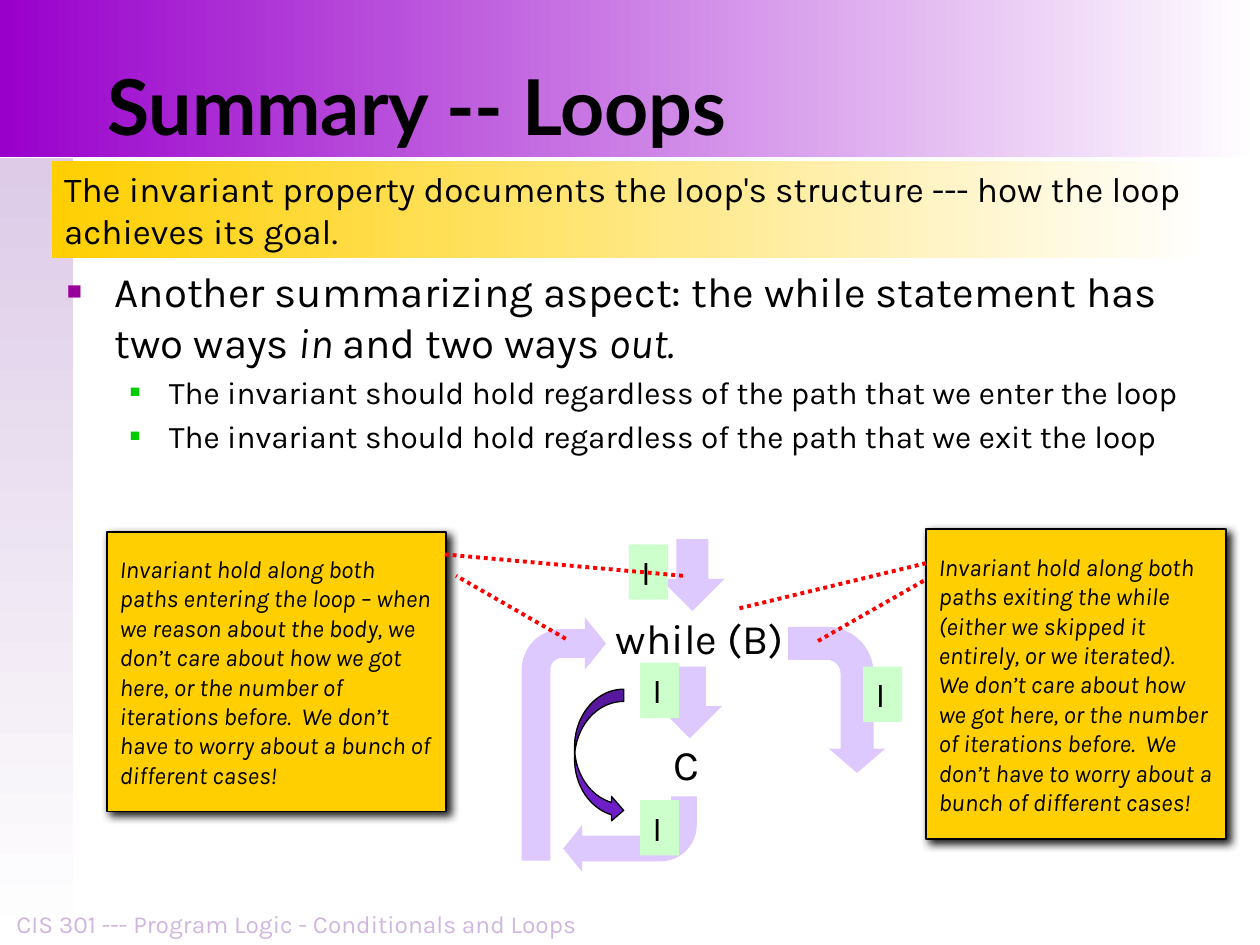
from lxml import etree
from pptx import Presentation
from pptx.dml.color import RGBColor
from pptx.enum.dml import MSO_LINE
from pptx.enum.shapes import MSO_CONNECTOR, MSO_SHAPE
from pptx.enum.text import MSO_ANCHOR, MSO_AUTO_SIZE, PP_ALIGN
from pptx.oxml.ns import qn
from pptx.util import Emu, Pt

RECT, BENT, DOWN = MSO_SHAPE.RECTANGLE, MSO_SHAPE.BENT_ARROW, MSO_SHAPE.DOWN_ARROW
CURVED = MSO_SHAPE.CURVED_RIGHT_ARROW
STRAIGHT, DOTTED = MSO_CONNECTOR.STRAIGHT, MSO_LINE.ROUND_DOT
TOP, MIDDLE, BOTTOM = MSO_ANCHOR.TOP, MSO_ANCHOR.MIDDLE, MSO_ANCHOR.BOTTOM
LEFT, CENTER = PP_ALIGN.LEFT, PP_ALIGN.CENTER
FIXED = MSO_AUTO_SIZE.NONE

EMU_PER_PX = 9144  # 100 px to the inch
BLACK, WHITE, RED = "000000", "FFFFFF", "FF0000"
GOLD, LILAC, MINT = "FFCF01", "DEC9FF", "CCFFCC"
BULLETS = [(38, -38, "990099", 60), (81, -31, "00CC00", 55)]  # one per level


def px(n):
    return Emu(n * EMU_PER_PX)


def rgb(color):
    return RGBColor.from_string(color)


def add(parent, tag, **attrs):
    return etree.SubElement(parent, qn(tag), {k: str(v) for k, v in attrs.items()})


class Deck:
    """Holds the text style and the slide being built."""

    font = "Karla"

    def __init__(self, prs):
        self.s = prs.slides.add_slide(prs.slide_layouts[1])

    def style(self, p, size, color=BLACK, name=None, bold=False, italic=None):
        f = p.font
        f.size, f.name, f.bold, f.italic = Pt(size), name or self.font, bold, italic
        f.color.rgb = rgb(color)

    def set_text(self, sp, text, size, align=LEFT, anchor=TOP, wrap=True, **font):
        tf = sp.text_frame
        tf.auto_size, tf.word_wrap, tf.vertical_anchor = FIXED, wrap, anchor
        p = tf.paragraphs[0]
        p.text, p.alignment = text, align
        self.style(p, size, **font)

    def place(self, index, box):
        """Move a placeholder to box and in front of what is drawn so far."""
        sp = self.s.placeholders[index]
        sp.left, sp.top, sp.width, sp.height = map(px, box)
        self.s.shapes._spTree.append(sp._element)
        return sp

    def title(self, box, text):
        self.set_text(self.place(0, box), text, 44, anchor=BOTTOM, name="Lato", bold=True)

    def body(self, box, items):
        """Each item is (level, size, [(text, italic), ...])."""
        tf = self.place(1, box).text_frame
        tf.auto_size = FIXED
        for i, (level, size, runs) in enumerate(items):
            p = tf.add_paragraph() if i else tf.paragraphs[0]
            p.level = level
            self.bullet(p)
            if i == 0:
                p.space_before = Pt(0)
            self.style(p, size)
            for text, italic in runs:
                r = p.add_run()
                r.text, r.font.italic = text, italic

    def bullet(self, p):
        margin, indent, color, percent = BULLETS[p.level]
        pPr = p._p.get_or_add_pPr()
        pPr.set("marL", str(px(margin)))
        pPr.set("indent", str(px(indent)))
        add(add(pPr, "a:buClr"), "a:srgbClr", val=color)
        add(pPr, "a:buSzPct", val=percent * 1000)
        add(pPr, "a:buFont", typeface="Arial")
        add(pPr, "a:buChar", char="■")

    def label(self, box, text, size, **text_style):
        self.set_text(self.s.shapes.add_textbox(*map(px, box)), text, size, **text_style)

    def shape(self, kind, box, fill, line=None, adj=(), rot=0):
        sp = self.s.shapes.add_shape(kind, *map(px, box))
        sp.shadow.inherit = False
        sp.rotation = rot
        for i, value in enumerate(adj):
            sp.adjustments[i] = value
        sp.fill.solid()
        sp.fill.fore_color.rgb = rgb(fill)
        if line:
            sp.line.color.rgb, sp.line.width = rgb(BLACK), Pt(line)
        else:
            sp.line.fill.background()
        return sp

    def fade(self, box, color, angle=0):
        """Rectangle that fades from color to white."""
        sp = self.shape(RECT, box, color)
        sp.fill.gradient()
        sp.fill.gradient_angle = angle
        for stop, c in zip(sp.fill.gradient_stops, (color, WHITE)):
            stop.color.rgb = rgb(c)
        return sp

    def invariant(self, x, y):
        self.set_text(self.shape(RECT, (x, y, 31, 44), MINT), "I", 20, wrap=False)

    def note(self, box, text, pointers):
        """Shadowed note with dotted lines to the paths it speaks of."""
        sp = self.shape(RECT, box, GOLD, line=1)
        effects = sp._element.spPr.find(qn("a:effectLst"))
        shadow = add(effects, "a:outerShdw", blurRad=Pt(5), dist=Pt(2.8),
                     dir=45 * 60000, algn="ctr", rotWithShape=0)
        add(shadow, "a:srgbClr", val="1C1C1C")
        self.set_text(sp, text, 14, anchor=MIDDLE, italic=True)
        for ends in pointers:
            self.pointer(ends)

    def pointer(self, ends):
        c = self.s.shapes.add_connector(STRAIGHT, *map(px, ends))
        c.line.color.rgb, c.line.width = rgb(RED), Pt(2.25)
        c.line.dash_style = DOTTED
        add(c._element.spPr, "a:effectLst")


def main():
    prs = Presentation()
    prs.slide_width, prs.slide_height = px(1000), px(750)
    d = Deck(prs)

    d.fade((0, 125, 58, 625), "DDCBE7", angle=270)
    d.fade((0, 0, 1000, 125), "9900CC")
    d.title((75, 0, 892, 125), "Summary -- Loops")
    d.body((43, 206, 924, 172), [
        (0, 24, [("Another summarizing aspect: the while statement has two ways ", False),
                 ("in ", True), ("and two ways ", False), ("out.", True)]),
        *((1, 18, [("The invariant should hold regardless of the path that we "
                    f"{verb} the loop", False)]) for verb in ("enter", "exit")),
    ])
    d.label((0, 717, 471, 33), "CIS 301 --- Program Logic - Conditionals and Loops", 14,
            align=CENTER, anchor=BOTTOM, color="D0B6DE")
    d.set_text(d.fade((41, 128, 919, 77), GOLD),
               "The invariant property documents the loop's structure --- "
               "how the loop achieves its goal.", 20)

    # Loop diagram
    d.label((479, 481, 153, 50), "while (B)", 24, wrap=False)
    d.label((525, 581, 40, 51), "C", 24, wrap=False)
    for x, y in ((522, 529), (524, 428)):
        d.shape(DOWN, (x, y, 51, 57), LILAC, adj=(0.5, 0.5))
    for box, rot, head in (((447, 632, 106, 60), 180, 0.31),
                           ((414, 490, 67, 193), 0, 0.31),
                           ((606, 517, 116, 77), 90, 0.29)):
        d.shape(BENT, box, LILAC, adj=(0.34, head, 0.25, 0.48), rot=rot)
    for x, y in ((499, 432), (508, 526), (508, 635), (685, 529)):
        d.invariant(x, y)
    d.shape(CURVED, (456, 547, 39, 106), "6E1EC6", line=0.75, adj=(0.25, 0.5, 0.25))

    d.note((85, 422, 269, 222),
           "Invariant hold along both paths entering the loop – when we reason about "
           "the body, we don’t care about how we got here, or the number of iterations "
           "before.  We don’t have to worry about a bunch of different cases!",
           [(542, 457, 353, 440), (449, 507, 362, 457)])
    d.note((735, 420, 238, 246),
           "Invariant hold along both paths exiting the while (either we skipped it "
           "entirely, or we iterated).  We don’t care about how we got here, or the "
           "number of iterations before.  We don’t have to worry about a bunch of "
           "different cases!",
           [(735, 447, 586, 483), (733, 461, 647, 510)])

    prs.save("out.pptx")


if __name__ == "__main__":
    main()
